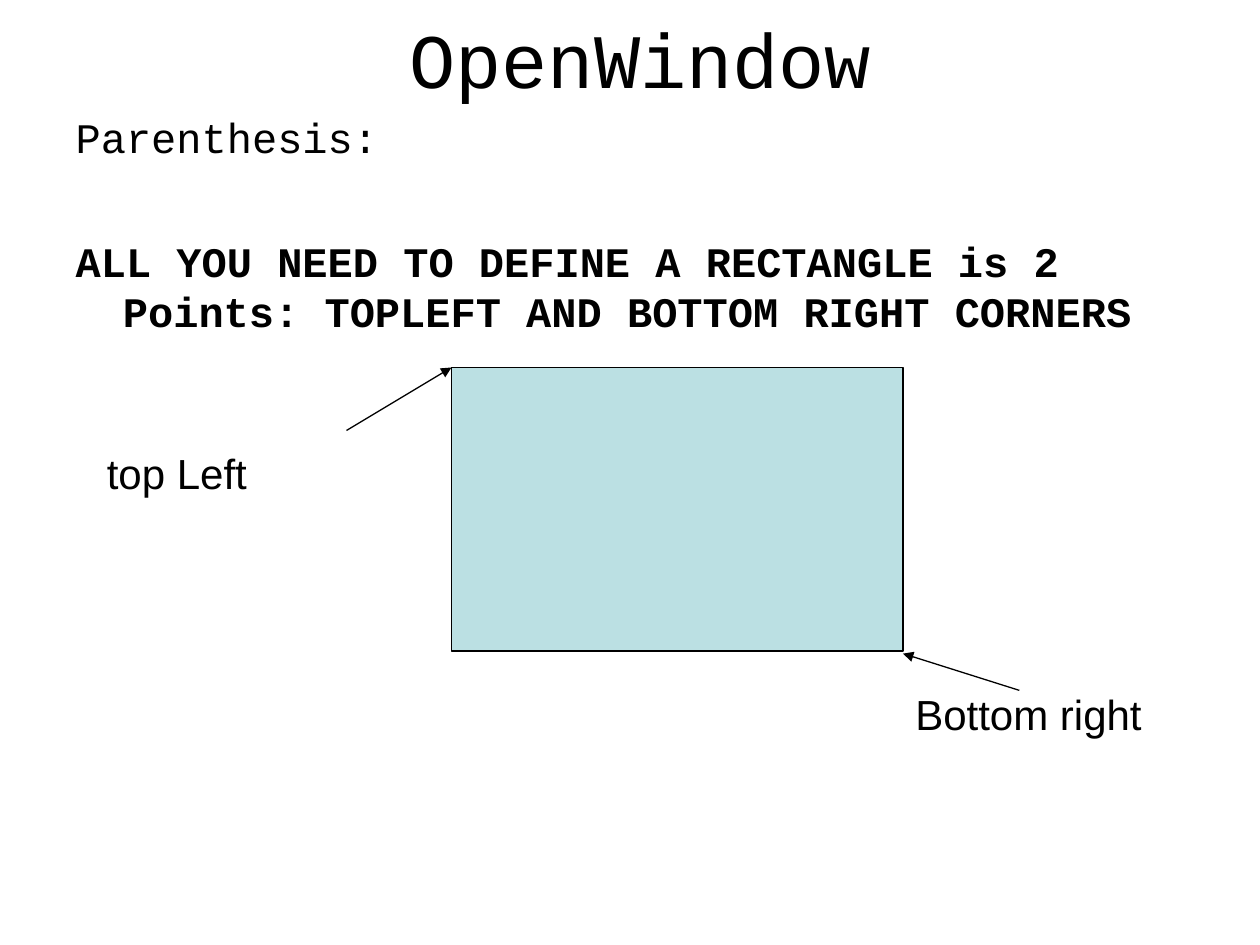
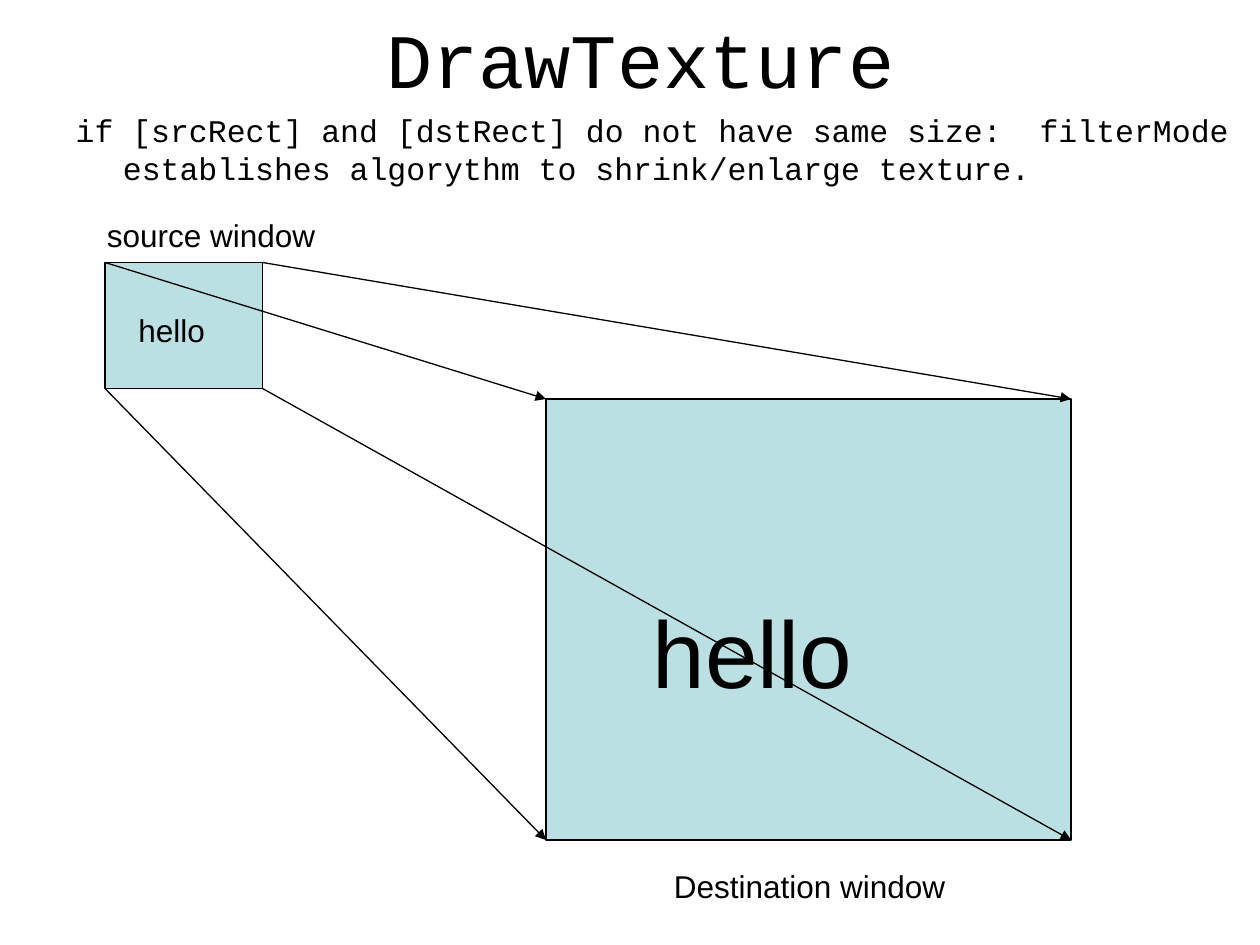
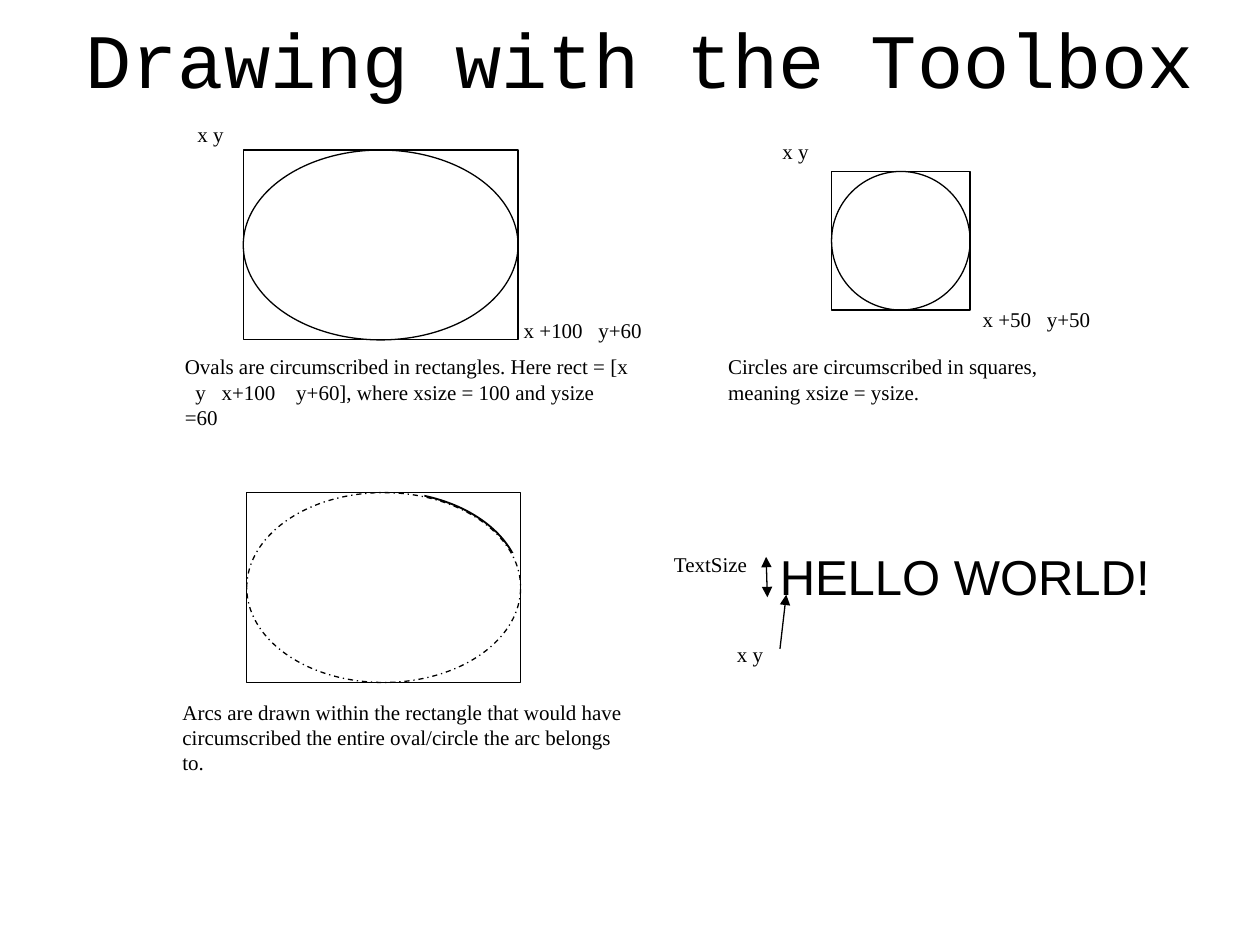
"""Build three slides on windows, textures and drawing with the Toolbox."""
from lxml import etree
from pptx import Presentation
from pptx.dml.color import RGBColor
from pptx.enum import dml, shapes, text
from pptx.oxml.ns import qn
from pptx.util import Pt

BLACK = RGBColor(0x00, 0x00, 0x00)
WHITE = RGBColor(0xFF, 0xFF, 0xFF)
PALE_BLUE = RGBColor(0xBB, 0xE0, 0xE3)
CODE_FONT, LABEL_FONT, NOTE_FONT = "Courier New", "Arial", "Times New Roman"
LINE_WIDTH = 0.75
HANGING_INDENT = 27
RECTANGLE = shapes.MSO_SHAPE.RECTANGLE
OVAL = shapes.MSO_SHAPE.OVAL


def add_figure(slide, geometry, box, fill=None, line_width=LINE_WIDTH):
    shape = slide.shapes.add_shape(geometry, *map(Pt, box))
    shape.shadow.inherit = False
    if fill is None:
        shape.fill.background()
    else:
        shape.fill.solid()
        shape.fill.fore_color.rgb = fill
    if line_width:
        shape.line.color.rgb = BLACK
        shape.line.width = Pt(line_width)
    else:
        shape.line.fill.background()
    return shape


def add_label(slide, words, box, size, font_name, before=0):
    label = slide.shapes.add_textbox(*map(Pt, box))
    frame = label.text_frame
    frame.word_wrap = True
    frame.text = words
    for paragraph in frame.paragraphs:
        paragraph.space_before = Pt(before)
        paragraph.font.size = Pt(size)
        paragraph.font.name = font_name
        paragraph.font.color.rgb = BLACK
    return label


presentation = Presentation()
presentation.slide_width, presentation.slide_height = Pt(720), Pt(540)

TITLE_AND_BODY, TITLE_ONLY = 1, 5
pages = [
    ("OpenWindow", TITLE_AND_BODY),
    ("DrawTexture", TITLE_AND_BODY),
    ("Drawing with the Toolbox", TITLE_ONLY),
]
for heading, layout in pages:
    slide = presentation.slides.add_slide(presentation.slide_layouts[layout])
    title = slide.shapes.title
    title.left, title.top, title.width, title.height = map(Pt, (24, -12, 684, 90))
    title.text_frame.text = heading
    title.text_frame.auto_size = text.MSO_AUTO_SIZE.NONE
    title.text_frame.vertical_anchor = text.MSO_ANCHOR.MIDDLE
    paragraph = title.text_frame.paragraphs[0]
    paragraph.alignment = text.PP_ALIGN.CENTER
    paragraph.font.size = Pt(44)
    paragraph.font.name = CODE_FONT
    paragraph.font.color.rgb = BLACK
window_slide, texture_slide, toolbox_slide = presentation.slides

bodies = [
    (window_slide, 24, [
        ("Parenthesis:", 6, False),
        ("ALL YOU NEED TO DEFINE A RECTANGLE is 2 Points: "
         "TOPLEFT AND BOTTOM RIGHT CORNERS", 42, True),
    ]),
    (texture_slide, 18, [
        ("if [srcRect] and [dstRect] do not have same size:  filterMode "
         "establishes algorythm to shrink/enlarge texture.", 0, False),
    ]),
]
for slide, size, lines in bodies:
    body = slide.placeholders[1]
    body.left, body.top, body.width, body.height = map(Pt, (36, 60, 684, 480))
    body.text_frame.text = "\n".join(words for words, before, bold in lines)
    body.text_frame.auto_size = text.MSO_AUTO_SIZE.NONE
    for paragraph, (words, before, bold) in zip(body.text_frame.paragraphs, lines):
        paragraph.space_before = Pt(before)
        properties = paragraph._p.get_or_add_pPr()
        properties.set("marL", str(Pt(HANGING_INDENT)))
        properties.set("indent", str(-Pt(HANGING_INDENT)))
        etree.SubElement(properties, qn("a:buNone"))
        paragraph.font.size = Pt(size)
        paragraph.font.name = CODE_FONT
        paragraph.font.bold = bold
        paragraph.font.color.rgb = BLACK

source_window = (60, 150, 90, 72)
destination_window = (312, 228, 300, 252)
add_figure(window_slide, RECTANGLE, (258, 210, 258, 162), PALE_BLUE)
for window in (source_window, destination_window):
    add_figure(texture_slide, RECTANGLE, window, PALE_BLUE)

for bounds in ((139, 85.75, 157, 108.5), (475.2, 98, 79.2, 79.2)):
    add_figure(toolbox_slide, OVAL, bounds, WHITE)
    add_figure(toolbox_slide, RECTANGLE, bounds)

arc_bounds = (141, 281.5, 156.5, 108.5)
add_figure(toolbox_slide, OVAL, arc_bounds, WHITE, 2.25)
for arc_mask in ((106.5, 260.5, 136, 155.5), (197.5, 316, 137, 79)):
    add_figure(toolbox_slide, RECTANGLE, arc_mask, WHITE, 0)
dashed_oval = add_figure(toolbox_slide, OVAL, arc_bounds, WHITE)
dashed_oval.line.dash_style = dml.MSO_LINE.DASH_DOT
add_figure(toolbox_slide, RECTANGLE, arc_bounds)

window_labels = [
    (window_slide, "top Left", (54, 252, 150, 36), 24),
    (window_slide, "Bottom right", (516, 390, 150, 36), 24),
    (texture_slide, "hello", (72, 174, 54, 29), 18),
    (texture_slide, "hello", (366, 336, 210, 72), 54),
    (texture_slide, "source window", (54, 120, 180, 29), 18),
    (texture_slide, "Destination window", (378, 492, 180, 29), 18),
]
for slide, words, box, size in window_labels:
    label = add_label(slide, words, box, size, LABEL_FONT, size * 0.625)
    label.text_frame.auto_size = text.MSO_AUTO_SIZE.SHAPE_TO_FIT_TEXT

greeting = add_label(toolbox_slide, "HELLO WORLD!", (438.5, 309, 234, 46), 28, LABEL_FONT)
greeting.fill.solid()
greeting.fill.fore_color.rgb = WHITE

toolbox_notes = [
    ("Ovals are circumscribed in rectangles. Here rect = [x   y   x+100    y+60], "
     "where xsize = 100 and ysize =60", (98.6, 198.7, 268.6, 118)),
    ("Circles are circumscribed in squares,\nmeaning xsize = ysize.",
     (409, 198.7, 259, 68)),
    ("Arcs are drawn within the rectangle that would have circumscribed "
     "the entire oval/circle the arc belongs to.", (97.2, 396, 268.6, 76)),
    ("x y", (105.8, 66.2, 47, 36)),
    ("x y", (440, 75.6, 47, 36)),
    ("x y", (414, 363, 47, 36)),
    ("x +100   y+60", (292.2, 177.8, 120, 36)),
    ("x +50   y+50", (554.4, 171.4, 120, 36)),
    ("TextSize", (378, 311.8, 101, 36)),
]
for words, box in toolbox_notes:
    add_label(toolbox_slide, words, box, 12, NOTE_FONT)

arrows = [
    (window_slide, (198, 246), (258, 210), ["tailEnd"]),
    (window_slide, (582.5, 394.5), (516, 373.5), ["tailEnd"]),
    (toolbox_slide, (445.7, 370.8), (449.3, 339.8), ["tailEnd"]),
    (toolbox_slide, (437.8, 318.2), (438.5, 341.3), ["headEnd", "tailEnd"]),
]
for across, down in ((1, 0), (1, 1), (0, 1), (0, 0)):
    start, end = [
        (left + across * width, top + down * height)
        for left, top, width, height in (source_window, destination_window)
    ]
    arrows.append((texture_slide, start, end, ["tailEnd"]))
for slide, start, end, heads in arrows:
    arrow = slide.shapes.add_connector(
        shapes.MSO_CONNECTOR.STRAIGHT, *map(Pt, start + end))
    arrow.line.color.rgb = BLACK
    arrow.line.width = Pt(LINE_WIDTH)
    for head in heads:
        etree.SubElement(arrow.line._get_or_add_ln(), qn(f"a:{head}"), type="triangle")
    etree.SubElement(arrow._element.spPr, qn("a:effectLst"))

presentation.save("out.pptx")
